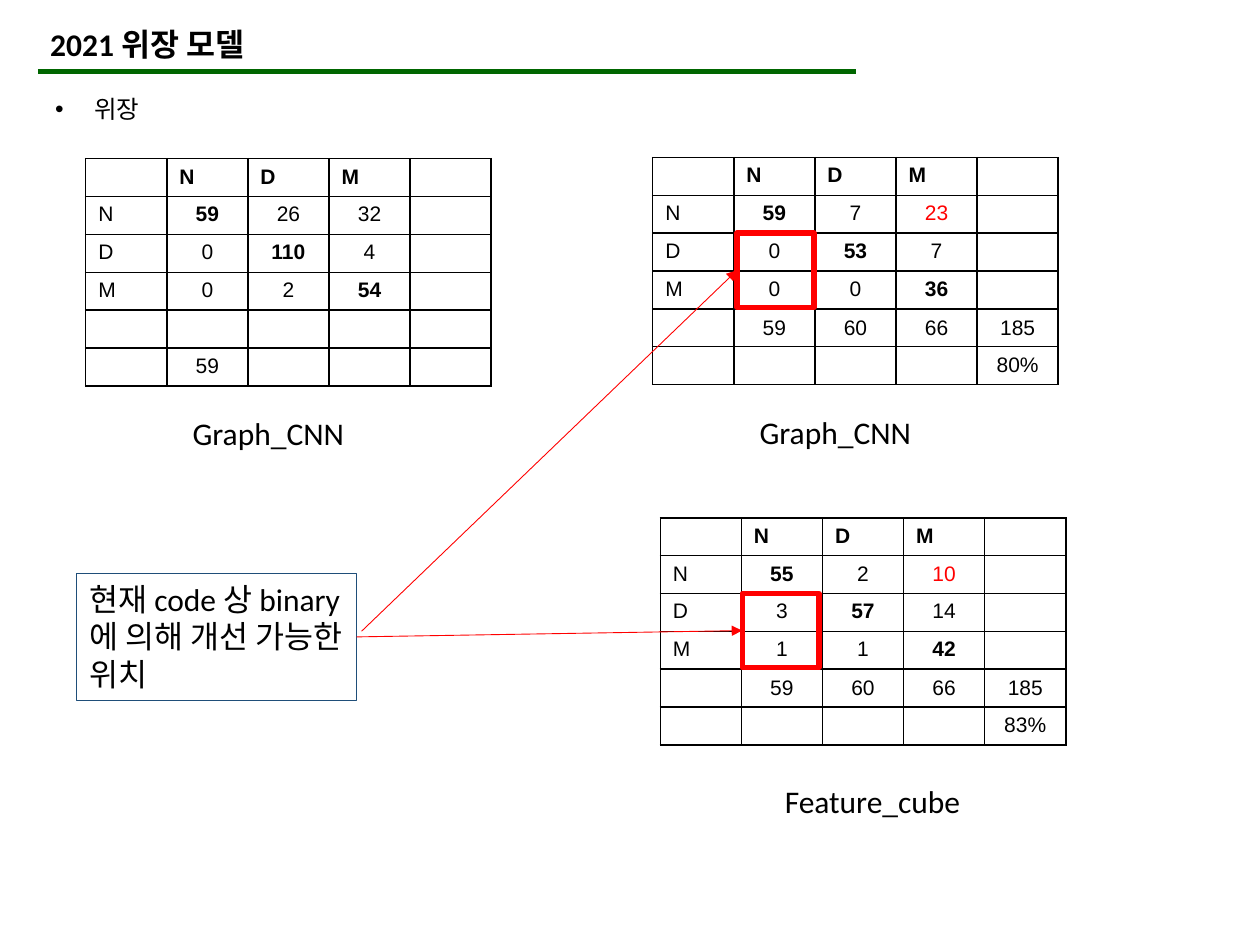
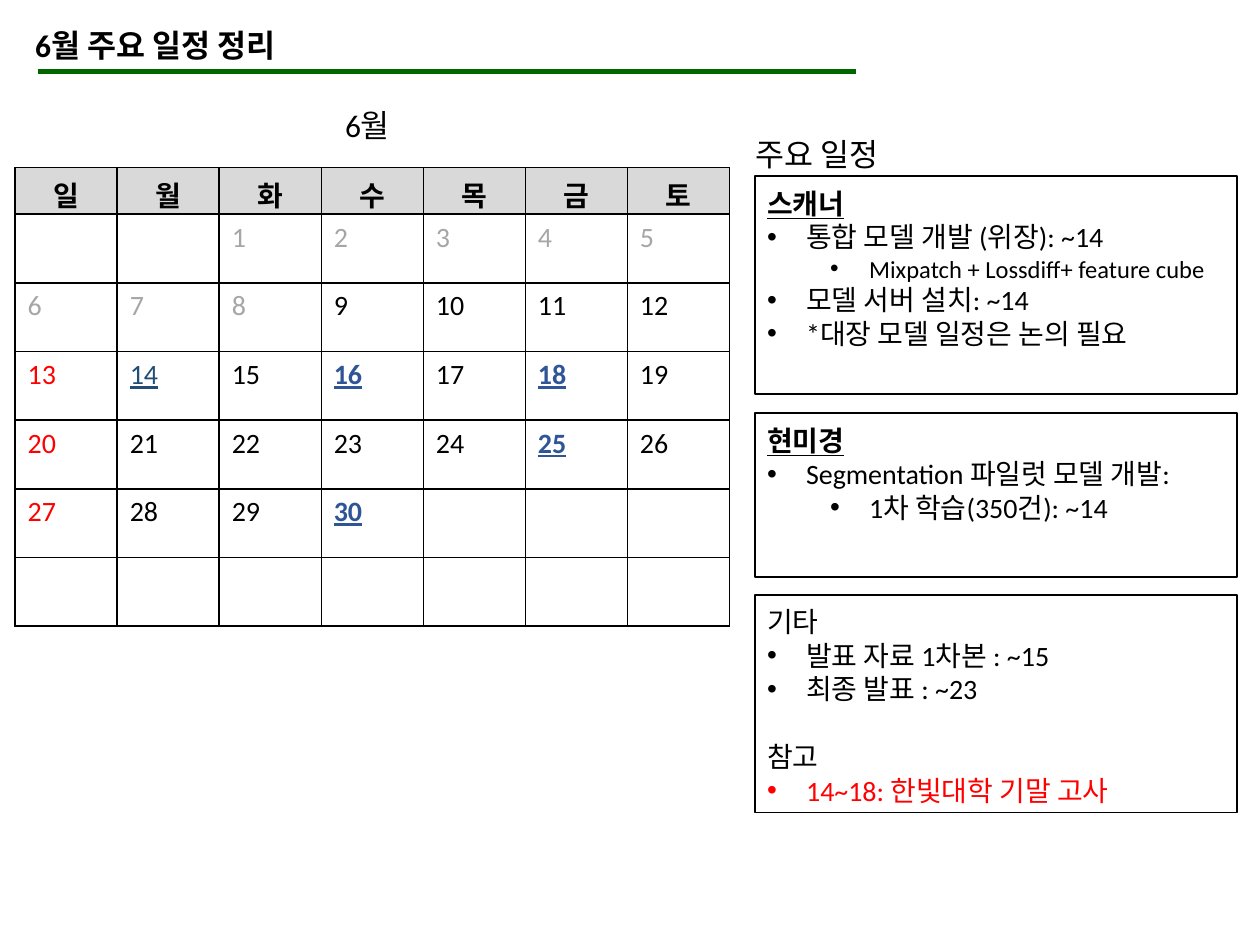
"""Build two slides: confusion matrices of a model and a June schedule."""
from dataclasses import dataclass
from typing import Optional

from lxml.etree import SubElement
from pptx import Presentation
from pptx.dml.color import RGBColor
from pptx.enum.shapes import MSO_CONNECTOR, MSO_SHAPE
from pptx.enum.text import MSO_ANCHOR, MSO_AUTO_SIZE, PP_ALIGN
from pptx.oxml.ns import qn
from pptx.util import Inches, Pt

BLACK = RGBColor(0x00, 0x00, 0x00)
WHITE = RGBColor(0xFF, 0xFF, 0xFF)
RED = RGBColor(0xFF, 0x00, 0x00)
GREEN = RGBColor(0x00, 0x66, 0x00)
NAVY = RGBColor(0x1F, 0x4E, 0x79)
BLUE = RGBColor(0x2F, 0x55, 0x97)
GREY = RGBColor(0xA6, 0xA6, 0xA6)
HEADER_GREY = RGBColor(0xD9, 0xD9, 0xD9)

GRID_COLS, GRID_ROWS = 100, 75
CELL = Inches(0.1)
INDENTS = {1: 3.1, 2: 8.1}
HANG = 3.1


def grid(n: float) -> int:
    """Return the length of n grid columns or rows."""
    return round(n * CELL)


@dataclass(frozen=True)
class Box:
    """A rectangle in grid columns and rows."""
    x: float
    y: float
    w: float
    h: float

    def emu(self) -> tuple:
        return tuple(grid(n) for n in (self.x, self.y, self.w, self.h))


@dataclass(frozen=True)
class Matrix:
    """A captioned confusion matrix, with an optional marked region."""
    x: float
    y: float
    caption: str
    caption_x: float
    caption_y: float
    counts: tuple
    totals: tuple
    last: tuple
    mark: Optional[Box] = None


@dataclass(frozen=True)
class Item:
    """A line of a schedule panel; level 0 has no bullet."""
    text: str
    level: int = 1
    size: float = 16
    color: RGBColor = BLACK
    heading: bool = False
    before: float = 0


@dataclass(frozen=True)
class Panel:
    """A framed list at a given row."""
    y: float
    h: float
    items: tuple


MATRICES = (
    Matrix(6.8, 12.6, "Graph_CNN", 14.3, 32.4,
           ((59, 26, 32), (0, 110, 4), (0, 2, 54)),
           ("", "", "", ""), ("", 59, "", "", "")),
    Matrix(51.8, 12.5, "Graph_CNN", 59.3, 32.3,
           ((59, 7, 23), (0, 53, 7), (0, 0, 36)),
           (59, 60, 66, 185), ("", "", "", "", "80%"), Box(58.5, 18.5, 6.1, 5.9)),
    Matrix(52.4, 41.1, "Feature_cube", 61.3, 61.6,
           ((55, 2, 10), (3, 57, 14), (1, 1, 42)),
           (59, 60, 66, 185), ("", "", "", "", "83%"), Box(58.9, 47.1, 6.1, 5.9)),
)
LABELS = ("N", "D", "M")

WEEKDAYS = "일월화수목금토"
FIRST_WEEKDAY, LAST_DAY, TODAY = 2, 30, 9
KEY_DAYS = {16, 18, 25, 30}
LINK_DAY = 14

PANELS = (
    Panel(14, 17.3, (
        Item("스캐너", 0, heading=True),
        Item("통합 모델 개발 (위장): ~14"),
        Item("Mixpatch + Lossdiff+ feature cube", 2, 14),
        Item("모델 서버 설치: ~14"),
        Item("*대장 모델 일정은 논의 필요"))),
    Panel(32.8, 13, (
        Item("현미경", 0, heading=True),
        Item("Segmentation 파일럿 모델 개발:"),
        Item("1차 학습(350건): ~14", 2))),
    Panel(47.2, 17.3, (
        Item("기타", 0),
        Item("발표 자료 1차본 : ~15"),
        Item("최종 발표 : ~23"),
        Item("참고", 0, before=19.5),
        Item("14~18: 한빛대학 기말 고사", color=RED))),
)


def add_text(tf, text: str, *, size: float = 18, font: str = "Calibri",
             color: RGBColor = BLACK, bold: bool = False, underline: bool = False,
             align=PP_ALIGN.LEFT, level: int = 0, before: float = 0, spacing=None):
    """Write a paragraph, in the first one if that is still empty."""
    p = tf.paragraphs[0] if not tf.text else tf.add_paragraph()
    p.alignment = align
    if level:
        pPr = p._p.get_or_add_pPr()
        pPr.set("marL", str(grid(INDENTS[level])))
        pPr.set("indent", str(-grid(HANG)))
        SubElement(pPr, qn("a:buFont"), typeface="Arial")
        SubElement(pPr, qn("a:buChar"), char="•")
    if before:
        p.space_before = Pt(before)
    if spacing:
        p.line_spacing = spacing
    if not text:
        SubElement(p._p, qn("a:endParaRPr"), sz=str(size * 100))
        return
    r = p.add_run()
    r.text = text
    f = r.font
    f.name, f.size, f.bold, f.underline = font, Pt(size), bold, underline
    f.color.rgb = color


def add_label(slide, box: Box, text: str, **fmt):
    """Add a text box that grows with its text."""
    tf = slide.shapes.add_textbox(*box.emu()).text_frame
    tf.word_wrap = True
    tf.auto_size = MSO_AUTO_SIZE.SHAPE_TO_FIT_TEXT
    add_text(tf, text, **fmt)


def add_frame(slide, box: Box, color: RGBColor, width: float):
    """Add an unfilled rectangle with top-left text."""
    sp = slide.shapes.add_shape(MSO_SHAPE.RECTANGLE, *box.emu())
    sp.shadow.inherit = False
    sp.fill.background()
    sp.line.color.rgb = color
    sp.line.width = Pt(width)
    sp.text_frame.word_wrap = True
    sp.text_frame.vertical_anchor = MSO_ANCHOR.TOP
    return sp


def add_line(slide, start: tuple, end: tuple, color: RGBColor, width: float,
             arrow: bool = False):
    """Add a straight line between two grid points."""
    line = slide.shapes.add_connector(
        MSO_CONNECTOR.STRAIGHT, *(grid(n) for n in start + end))
    line.line.color.rgb = color
    line.line.width = Pt(width)
    if arrow:
        SubElement(line.line._get_or_add_ln(), qn("a:tailEnd"), type="triangle")
    SubElement(line._element.spPr, qn("a:effectLst"))
    return line


def add_grid_table(slide, box: Box, heights: list, n_cols: int):
    """Add a plain table with equal columns."""
    tbl = slide.shapes.add_table(len(heights), n_cols, *box.emu()).table
    tbl.first_row = tbl.horz_banding = False
    for col in tbl.columns:
        col.width = grid(box.w / n_cols)
    for row, height in zip(tbl.rows, heights):
        row.height = grid(height)
    return tbl


def fill_cell(cell, text: str, *, fill: RGBColor = WHITE, middle: bool = False, **fmt):
    """Give a cell its black borders, fill and text."""
    tcPr = cell._tc.get_or_add_tcPr()
    for side in ("lnL", "lnR", "lnT", "lnB"):
        ln = SubElement(tcPr, qn(f"a:{side}"), w=str(Pt(1)))
        SubElement(SubElement(ln, qn("a:solidFill")), qn("a:srgbClr"), val=str(BLACK))
    cell.fill.solid()
    cell.fill.fore_color.rgb = fill
    if middle:
        cell.vertical_anchor = MSO_ANCHOR.MIDDLE
    add_text(cell.text_frame, text, **fmt)


def add_titled_slide(prs, title: str, x: float, y: float):
    """Add a blank slide with the title and its green rule."""
    slide = prs.slides.add_slide(prs.slide_layouts[6])
    add_label(slide, Box(x, y, 58.9, 4), title, bold=True)
    add_line(slide, (3, 5.7), (67.9, 5.7), GREEN, 3)
    return slide


def draw_matrix(slide, m: Matrix):
    """Draw a confusion matrix and its caption."""
    rows = [("", *LABELS, "")]
    rows += [(label, *counts, "") for label, counts in zip(LABELS, m.counts)]
    rows += [("", *m.totals), m.last]
    tbl = add_grid_table(slide, Box(m.x, m.y, 32.2, 18), [3] * len(rows), 5)
    for i, row in enumerate(rows):
        for j, value in enumerate(row):
            missed = m.mark and (i, j) == (1, 3)
            fill_cell(tbl.cell(i, j), str(value), size=12, font="Arial",
                      bold=i == 0 or i == j < 4,
                      color=RED if missed else BLACK, middle=i == 4,
                      align=PP_ALIGN.CENTER if i and j else PP_ALIGN.LEFT)
    add_label(slide, Box(m.caption_x, m.caption_y, 17.2, 4), m.caption)


def draw_model_slide(prs):
    """Draw the matrices and the note that points into them."""
    slide = add_titled_slide(prs, "2021 위장 모델", 3, 1.5)
    add_label(slide, Box(3.4, 5.8, 83.3, 4.1), "위장",
              size=14, font="Arial", level=1, spacing=1.5)
    for m in MATRICES:
        draw_matrix(slide, m)
    upper, lower = (add_frame(slide, m.mark, RED, 3) for m in MATRICES if m.mark)
    note = add_frame(slide, Box(6.1, 45.5, 22.2, 10.1), NAVY, 0.75)
    add_text(note.text_frame, "현재 code 상 binary에 의해 개선 가능한 위치")
    to_upper = add_line(slide, (28.7, 50.1), (58.5, 21.4), RED, 0.5, arrow=True)
    to_upper.end_connect(upper, 1)
    to_lower = add_line(slide, (28.3, 50.5), (58.9, 50.1), RED, 0.5, arrow=True)
    to_lower.begin_connect(note, 3)
    to_lower.end_connect(lower, 1)


def day_format(day: int, weekday: int) -> dict:
    """Return the text format of a calendar day."""
    if day in KEY_DAYS:
        return dict(color=BLUE, bold=True, underline=True)
    if day == LINK_DAY:
        return dict(color=NAVY, underline=True)
    if day < TODAY:
        return dict(color=GREY)
    return dict(color=RED if weekday == 0 else BLACK)


def draw_calendar(slide):
    """Draw the month as a table of weeks."""
    n_weeks = 6
    tbl = add_grid_table(slide, Box(1.2, 13.3, 56.7, 36.4),
                         [3.7] + [5.45] * n_weeks, len(WEEKDAYS))
    for j, name in enumerate(WEEKDAYS):
        fill_cell(tbl.cell(0, j), name, fill=HEADER_GREY, middle=True,
                  size=16, bold=True, align=PP_ALIGN.CENTER)
        for week in range(n_weeks):
            day = week * len(WEEKDAYS) + j - FIRST_WEEKDAY + 1
            text = str(day) if 1 <= day <= LAST_DAY else ""
            fill_cell(tbl.cell(week + 1, j), text, size=16, **day_format(day, j))


def draw_schedule_slide(prs):
    """Draw the calendar and the panels of key dates."""
    slide = add_titled_slide(prs, "6월 주요 일정 정리", 1.8, 1.6)
    draw_calendar(slide)
    add_label(slide, Box(26.4, 7.9, 13, 4), "6월")
    add_label(slide, Box(59, 10.2, 12.7, 4), "주요 일정")
    for panel in PANELS:
        tf = add_frame(slide, Box(59.9, panel.y, 38.3, panel.h), BLACK, 1).text_frame
        tf.margin_top = grid(0.8)
        for item in panel.items:
            add_text(tf, item.text, size=item.size, color=item.color, level=item.level,
                     bold=item.heading, underline=item.heading, before=item.before)


def main():
    """Build and save the presentation."""
    prs = Presentation()
    prs.slide_width, prs.slide_height = grid(GRID_COLS), grid(GRID_ROWS)
    draw_model_slide(prs)
    draw_schedule_slide(prs)
    prs.save("out.pptx")


if __name__ == "__main__":
    main()
